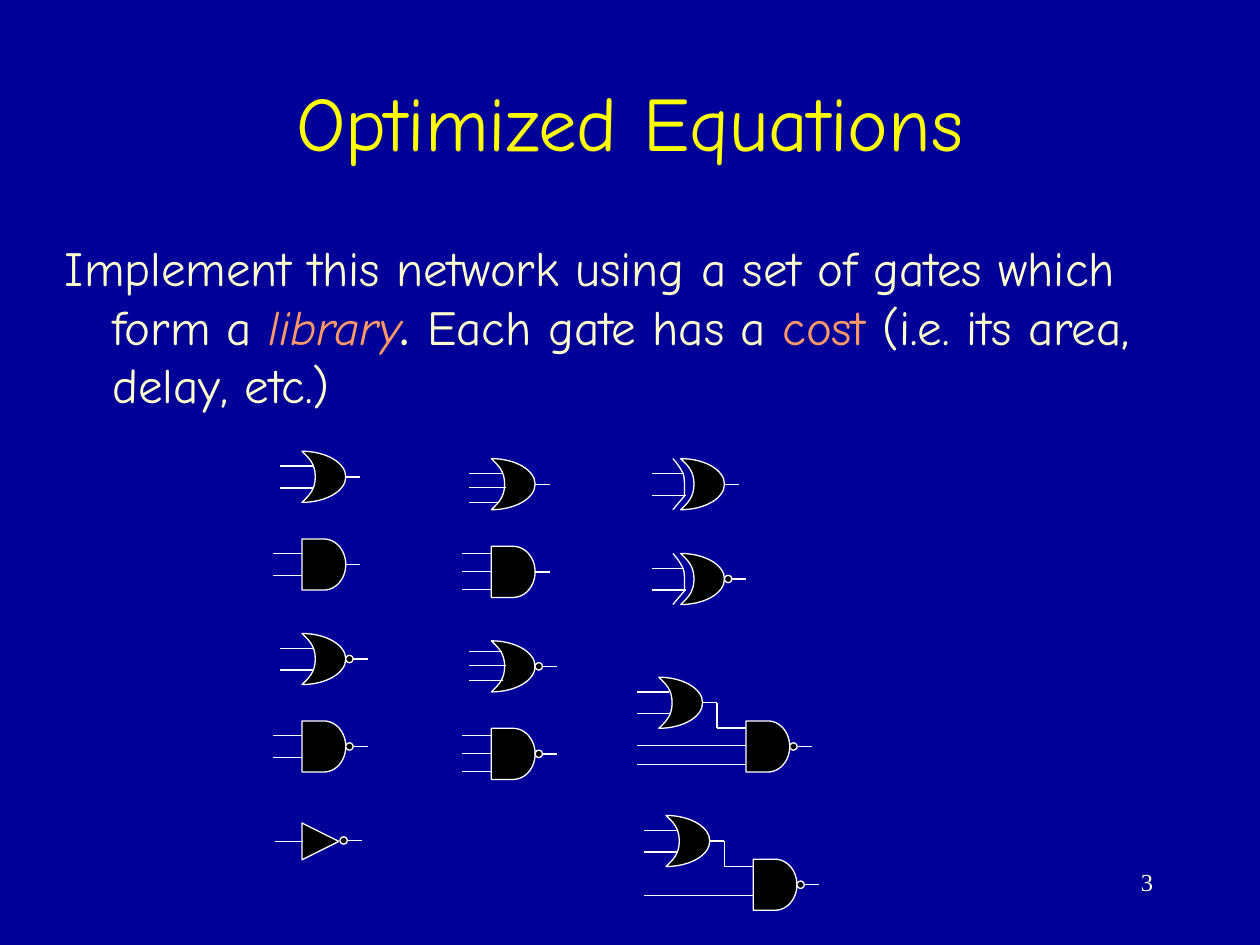
from lxml import etree
from pptx import Presentation
from pptx.dml.color import RGBColor
from pptx.enum.shapes import MSO_CONNECTOR as Connector, MSO_SHAPE as Shape
from pptx.enum.text import MSO_ANCHOR as Anchor, PP_ALIGN as Align
from pptx.oxml.ns import qn
from pptx.util import Pt

NAVY, BLACK, WHITE = "000099", "000000", "FFFFFF"
YELLOW, CREAM, ORANGE = "FFFF00", "FFFFCC", "FF9966"
HAND, SERIF = "Comic Neue", "Times New Roman"
GATE_W, GATE_H, BUBBLE, LEAD = 25, 29.2, 4.2, 8.3

OR_OUTLINE = [
    (0, 0),
    (3.8, 3.7), (7.6, 7), (7.6, 14.6),
    (7.6, 22.2), (3.8, 25.5), (0, 29.2),
    (13.7, 29.2), (25, 22.7), (25, 14.6),
    (25, 6.5), (13.7, 0), (0, 0),
]
XOR_BACK = [
    (-4.5, 0),
    (-3.1, 1.4), (0, 5.5), (1.1, 8),
    (2.1, 10.5), (2.1, 12.3), (2.1, 14.6),
    (2.1, 21.4), (-4.5, 29.2),
]

OR_2 = [(-12.6, 6, 8.4), (-12.6, 6.5, 20.9)]
OR_3 = [(-12.6, 5.8, 8.4), (-12.6, 8.5, 16.5), (-12.6, 4, 25)]
NOR_3 = [(-12.6, 5.8, 6), (-12.6, 8.5, 14.2), (-12.6, 6.5, 22.6)]
AND_2 = [(-16.6, 0, 8.3), (-16.6, 0, 20.8)]
AND_3 = [(-16.6, 0, 4), (-16.6, 0, 14.2), (-16.6, 0, 24.8)]
XOR_2 = [(-16.6, 2.1, 8.4), (-16.6, 2.9, 20.9)]


def color(value):
    """Turn a hex string into a colour."""
    return RGBColor.from_string(value)


def paint(shape, filled=True):
    """Give a gate part its fill and white outline."""
    shape.shadow.inherit = False
    if filled:
        shape.fill.solid()
        shape.fill.fore_color.rgb = color(BLACK)
    else:
        shape.fill.background()
    shape.line.color.rgb = color(WHITE)
    shape.line.width = Pt(0.75)


def add_wire(shapes, x1, y1, x2, y2):
    """Draw a thin white wire."""
    wire = shapes.add_connector(Connector.STRAIGHT, Pt(x1), Pt(y1), Pt(x2), Pt(y2))
    wire.line.color.rgb = color(WHITE)
    wire.line.width = Pt(0.75)
    etree.SubElement(wire._element.spPr, qn("a:effectLst"))


def add_preset(shapes, preset, left, top, width, height):
    """Add a painted preset shape."""
    shape = shapes.add_shape(preset, Pt(left), Pt(top), Pt(width), Pt(height))
    paint(shape)
    return shape


def add_outline(shapes, left, top, points, curves, closed):
    """Draw an outline whose first segments are cubic curves of three points each."""
    placed = [(Pt(left + x), Pt(top + y)) for x, y in points]
    builder = shapes.build_freeform(*placed[0])
    builder.add_line_segments(placed[1:], close=closed)
    shape = builder.convert_to_shape()
    segments = list(shape._element.iter(qn("a:lnTo")))
    for first in range(0, curves * 3, 3):
        triple = segments[first:first + 3]
        curve = etree.Element(qn("a:cubicBezTo"))
        triple[0].addprevious(curve)
        for segment in triple:
            curve.append(segment[0])
            segment.getparent().remove(segment)
    paint(shape, filled=closed)


def add_output(shapes, left, middle, inverted):
    """Add the output lead, behind a bubble if inverted."""
    if inverted:
        add_preset(shapes, Shape.OVAL, left, middle - BUBBLE / 2, BUBBLE, BUBBLE)
        left += BUBBLE
    add_wire(shapes, left, middle, left + LEAD, middle)


def add_gate(shapes, kind, left, top, inputs, inverted=False):
    """Place a gate body with its input and output leads."""
    if kind == "and":
        add_preset(shapes, Shape.FLOWCHART_DELAY, left, top, GATE_W, GATE_H)
    else:
        add_outline(shapes, left, top, OR_OUTLINE, 4, True)
    if kind == "xor":
        add_outline(shapes, left, top, XOR_BACK, 2, False)
    for start, end, y in inputs:
        add_wire(shapes, left + start, top + y, left + end, top + y)
    add_output(shapes, left + GATE_W, top + GATE_H / 2, inverted)


def add_inverter(shapes, left, top, size=21):
    """Place an inverter."""
    add_preset(shapes, Shape.ISOSCELES_TRIANGLE, left, top, size, size).rotation = 90
    add_wire(shapes, left - 15.6, top + size / 2, left + 0.7, top + size / 2)
    add_output(shapes, left + size + 0.7, top + size / 2 - 0.5, True)


def add_compound(shapes, left, top, plain_inputs):
    """Place an OR gate feeding a NAND gate."""
    nand_left, nand_top = left + 49.8, top + 25
    bend, middle = left + GATE_W + LEAD, top + GATE_H / 2
    add_gate(shapes, "or", left, top, OR_2)
    add_wire(shapes, bend, middle, bend, nand_top + 4)
    inputs = [(bend - nand_left, 0, 4)] + [(-62.4, 0, y) for y in plain_inputs]
    add_gate(shapes, "and", nand_left, nand_top, inputs, inverted=True)


def add_library(page, left, top):
    """Lay out the gate library in three columns."""
    def group():
        return page.shapes.add_group_shape().shapes

    loose = page.shapes
    add_gate(group(), "or", left, top, OR_2)
    add_gate(group(), "and", left, top + 50.1, AND_2)
    add_gate(loose, "or", left, top + 104.1, OR_2, True)
    add_gate(group(), "and", left, top + 154.1, AND_2, True)
    add_inverter(group(), left, top + 212.4)
    cells = [
        ("or", 108.2, 4.2, OR_3, False), ("and", 108.2, 54.3, AND_3, False),
        ("or", 108.2, 108.3, NOR_3, True), ("and", 108.2, 158.3, AND_3, True),
        ("xor", 216.4, 4.2, XOR_2, False), ("xor", 216.4, 58.4, XOR_2, True),
    ]
    for kind, x, y, inputs, inverted in cells:
        add_gate(loose, kind, left + x, top + y, inputs, inverted)
    add_compound(loose, left + 203.9, top + 129.1, [14.2, 25])
    add_compound(loose, left + 208, top + 208.1, [20.8])


def add_text(page, left, top, width, height, spans, size, font, align=Align.LEFT):
    """Add a wrapped one-paragraph text box from (text, colour, bold, italic) spans."""
    box = page.shapes.add_textbox(Pt(left), Pt(top), Pt(width), Pt(height))
    box.text_frame.word_wrap = True
    para = box.text_frame.paragraphs[0]
    para.alignment = align
    for text, tint, bold, italic in spans:
        span = para.add_run()
        span.text = text
        span.font.size, span.font.name = Pt(size), font
        span.font.bold, span.font.italic = bold, italic
        span.font.color.rgb = color(tint)
    return box


def add_title(page, left, top, width, height):
    """Add the centred title."""
    spans = [("Optimized Equations", YELLOW, False, False)]
    box = add_text(page, left, top, width, height, spans, 44, HAND, Align.CENTER)
    box.text_frame.vertical_anchor = Anchor.MIDDLE


def add_body(page, left, top, width, height):
    """Add the explanation with a hanging indent."""
    spans = [
        ("Implement this network using a set of gates which form a ", CREAM, False, False),
        ("library", ORANGE, False, True),
        (". ", CREAM, True, False),
        ("Each gate has a ", CREAM, False, False),
        ("cost", ORANGE, False, False),
        (" (i.e. its area, delay, etc.)", CREAM, False, False),
    ]
    box = add_text(page, left, top, width, height, spans, 28, HAND)
    para = box.text_frame.paragraphs[0]
    para.space_before = Pt(7)
    properties = para._p.get_or_add_pPr()
    properties.set("marL", str(Pt(27)))
    properties.set("indent", str(-Pt(27)))


def main():
    """Build and save the slide."""
    deck = Presentation()
    deck.slide_width, deck.slide_height = Pt(720), Pt(540)
    page = deck.slides.add_slide(deck.slide_layouts[6])
    page.background.fill.solid()
    page.background.fill.fore_color.rgb = color(NAVY)
    add_title(page, 54, 24, 612, 90)
    add_body(page, 30, 132, 666, 126)
    add_library(page, 172.6, 257.9)
    add_text(page, 516, 492, 150, 36, [("3", CREAM, False, False)], 14, SERIF, Align.RIGHT)
    deck.save("out.pptx")


if __name__ == "__main__":
    main()
